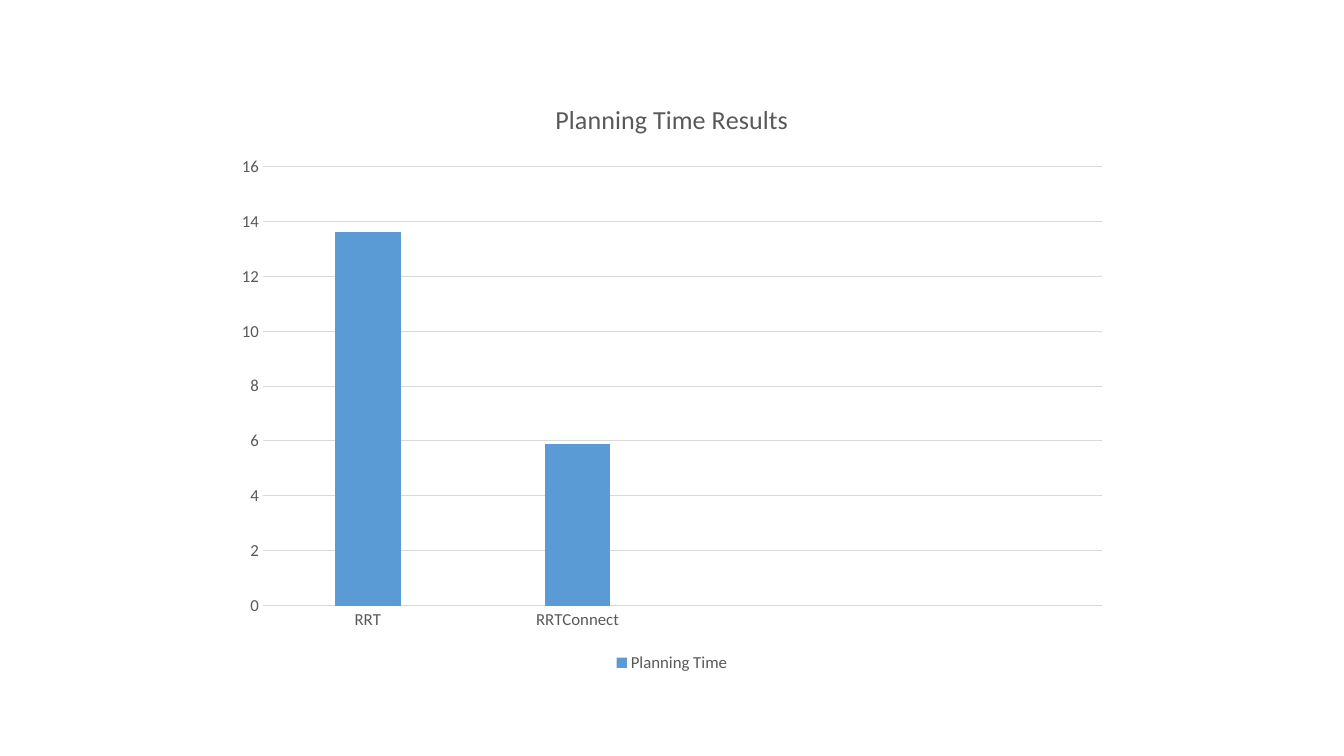
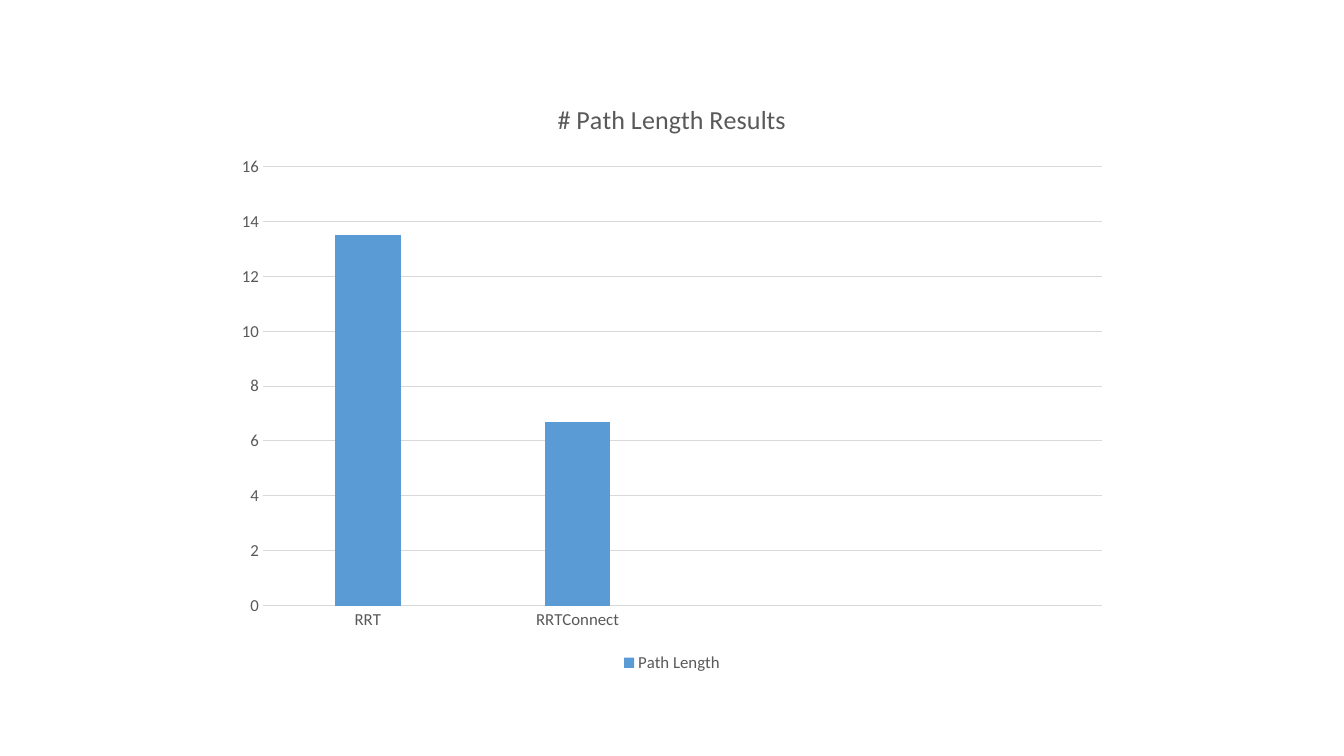
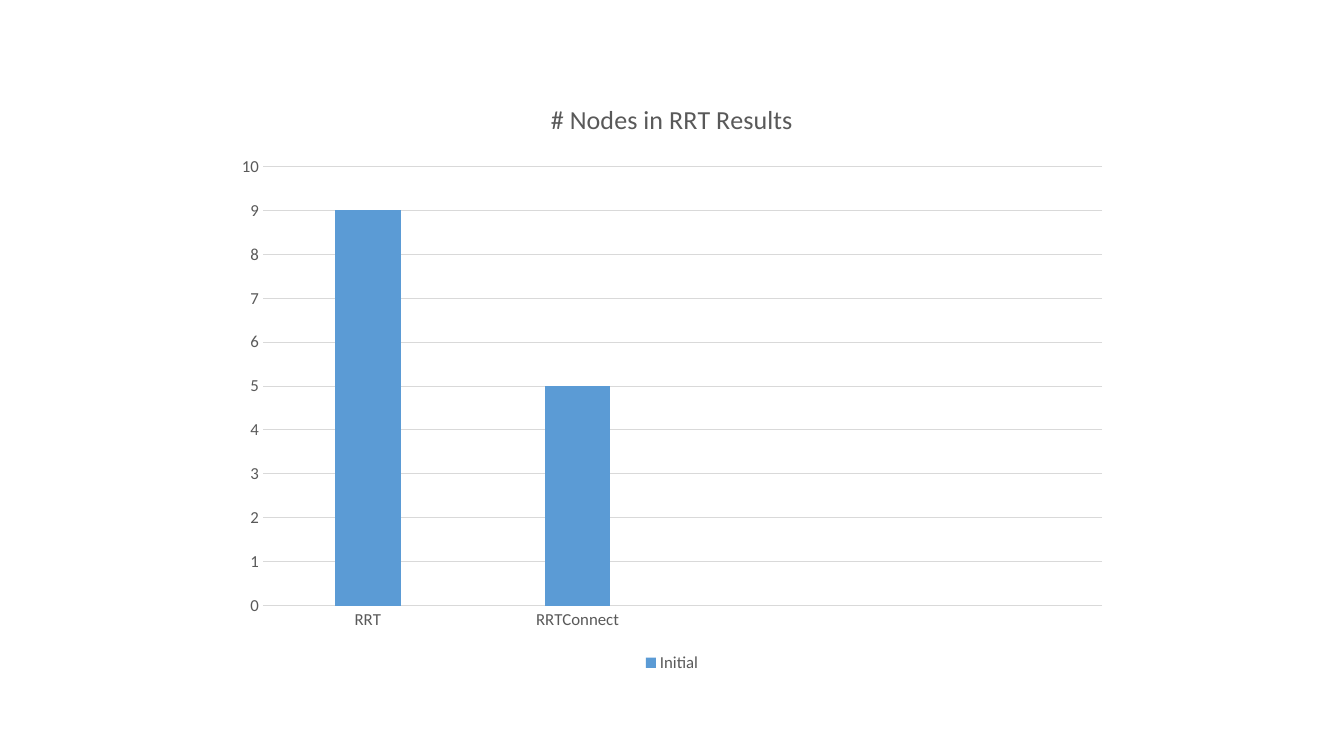
"""Build three slides comparing RRT planners, one column chart per slide."""
from dataclasses import dataclass

from pptx import Presentation
from pptx.chart.data import CategoryChartData
from pptx.dml.color import RGBColor
from pptx.enum.chart import XL_CHART_TYPE, XL_LEGEND_POSITION, XL_TICK_MARK
from pptx.util import Cm, Pt


@dataclass(frozen=True)
class Theme:
    font: str = "Calibri"
    text: RGBColor = RGBColor(0x59, 0x59, 0x59)
    rule: RGBColor = RGBColor(0xD9, 0xD9, 0xD9)
    column: RGBColor = RGBColor(0x5B, 0x9B, 0xD5)
    title_size: Pt = Pt(18.6)
    label_size: Pt = Pt(12)
    rule_width: Pt = Pt(0.75)


THEME = Theme()
SLIDE_WIDTH, SLIDE_HEIGHT = Cm(33.87), Cm(19.05)
CHART_WIDTH, CHART_HEIGHT = Cm(22.58), Cm(15.06)

PLANNERS = ["RRT", "RRTConnect", "", ""]
RESULTS = [
    ("Planning Time Results", "Planning Time", (13.6, 5.9, None, None)),
    ("# Path Length Results", "Path Length", (13.5, 6.7, None, None)),
    ("# Nodes in RRT Results", "Initial", (9, 5, None, None)),
]


def style_font(font, size):
    font.name = THEME.font
    font.size = size
    font.bold = False
    font.color.rgb = THEME.text


def style_rule(line):
    line.color.rgb = THEME.rule
    line.width = THEME.rule_width


def style_title(chart, title):
    chart.has_title = True
    frame = chart.chart_title.text_frame
    frame.text = title
    style_font(frame.paragraphs[0].font, THEME.title_size)
    chart.chart_title.include_in_layout = False


def style_axes(chart):
    for axis in (chart.category_axis, chart.value_axis):
        axis.major_tick_mark = XL_TICK_MARK.NONE
        axis.minor_tick_mark = XL_TICK_MARK.NONE
        style_font(axis.tick_labels.font, THEME.label_size)
    style_rule(chart.category_axis.format.line)
    chart.value_axis.format.line.fill.background()
    chart.value_axis.has_major_gridlines = True
    style_rule(chart.value_axis.major_gridlines.format.line)


def style_legend(chart):
    chart.has_legend = True
    chart.legend.position = XL_LEGEND_POSITION.BOTTOM
    chart.legend.include_in_layout = False
    style_font(chart.legend.font, THEME.label_size)


def style_columns(chart):
    plot = chart.plots[0]
    plot.gap_width = 219
    plot.overlap = -27
    plot.vary_by_categories = False
    fill = plot.series[0].format.fill
    fill.solid()
    fill.fore_color.rgb = THEME.column


def add_result(deck, title, measure, values):
    page = deck.slides.add_slide(deck.slide_layouts[6])
    data = CategoryChartData()
    data.categories = PLANNERS
    data.add_series(measure, values)
    left = (SLIDE_WIDTH - CHART_WIDTH) // 2
    top = (SLIDE_HEIGHT - CHART_HEIGHT) // 2
    chart = page.shapes.add_chart(
        XL_CHART_TYPE.COLUMN_CLUSTERED, left, top, CHART_WIDTH, CHART_HEIGHT, data
    ).chart
    style_font(chart.font, THEME.label_size)
    style_title(chart, title)
    style_axes(chart)
    style_legend(chart)
    style_columns(chart)


def main():
    deck = Presentation()
    deck.slide_width, deck.slide_height = SLIDE_WIDTH, SLIDE_HEIGHT
    for result in RESULTS:
        add_result(deck, *result)
    deck.save("out.pptx")


if __name__ == "__main__":
    main()
